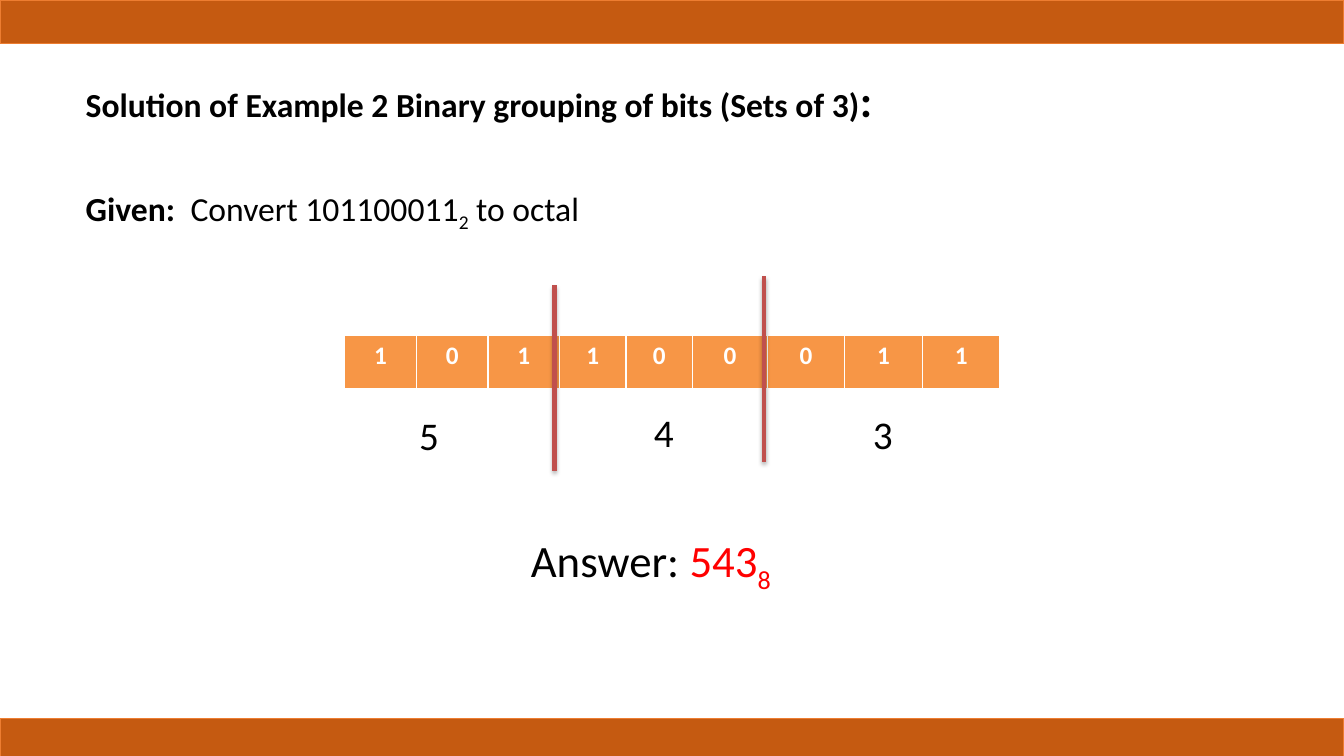
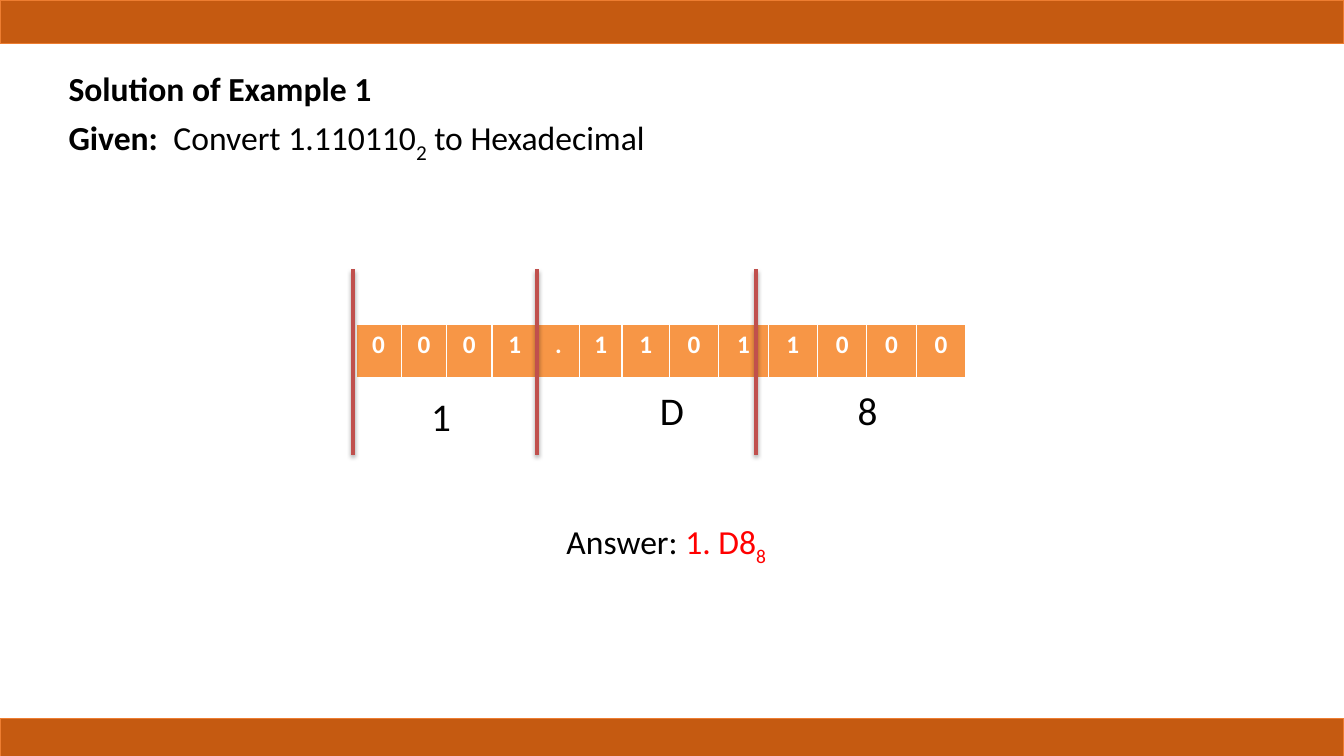
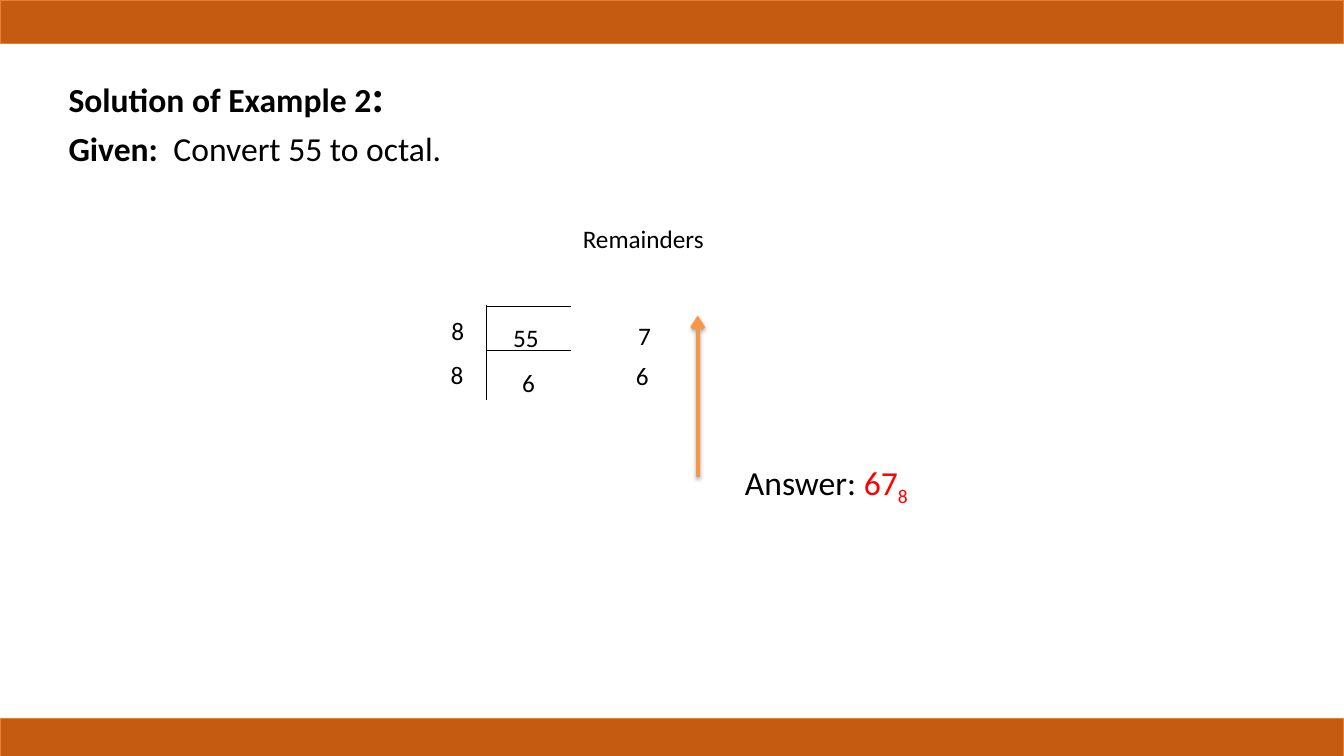
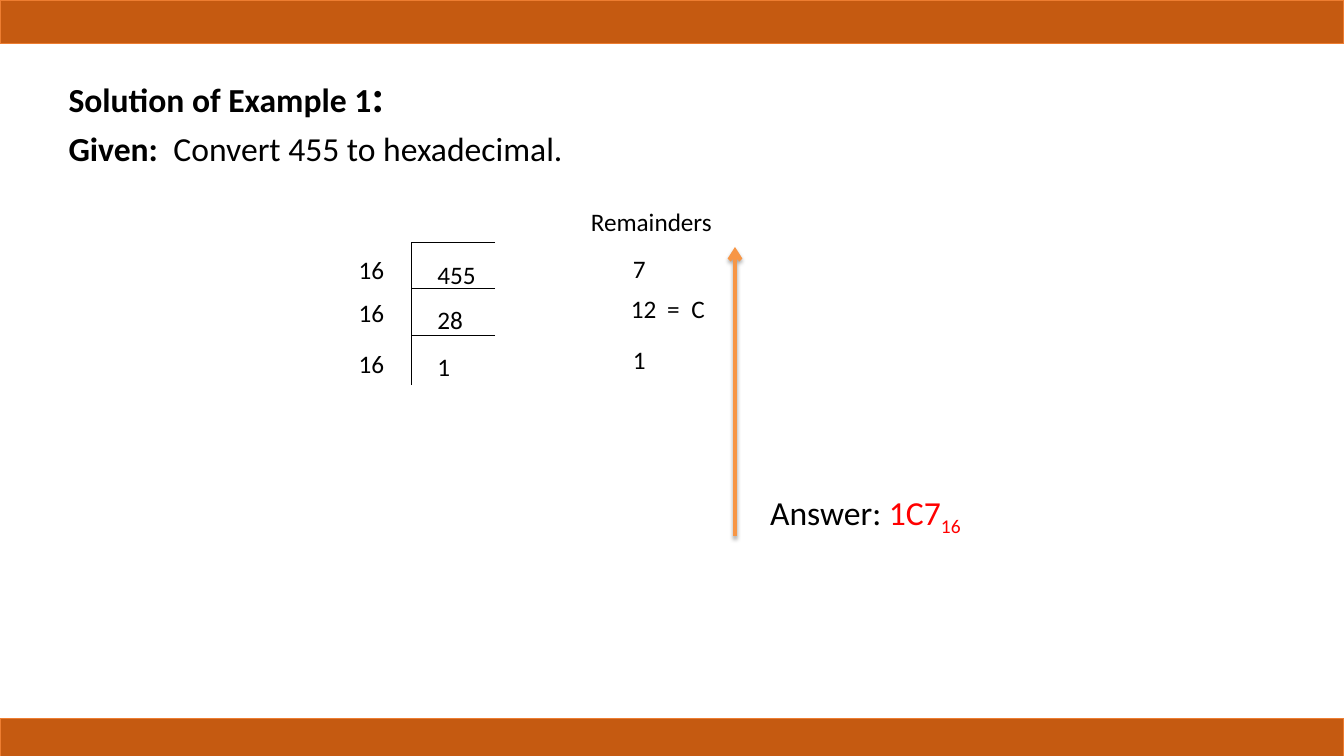
from lxml.etree import SubElement
from pptx import Presentation
from pptx.dml.color import RGBColor
from pptx.enum.shapes import MSO_CONNECTOR, MSO_SHAPE
from pptx.enum.text import MSO_ANCHOR, MSO_AUTO_SIZE, PP_ALIGN
from pptx.oxml.ns import qn
from pptx.util import Inches, Pt

FONT = "Calibri"
BLACK = RGBColor(0, 0, 0)
WHITE = RGBColor(255, 255, 255)
RED = RGBColor(255, 0, 0)
BAND = RGBColor(0xC5, 0x5A, 0x11)
BAND_EDGE = RGBColor(0xED, 0x7D, 0x31)
ORANGE = RGBColor(0xF7, 0x96, 0x46)
DIVIDER = RGBColor(0xC0, 0x50, 0x4D)


class Deck:
    """Holds the shared style and the slide being built."""

    def __init__(self):
        self.prs = Presentation()
        self.prs.slide_width = Inches(13.33)
        self.prs.slide_height = Inches(7.5)

    def slide(self, title, given, colon=True, box=(0.58, 0.62, 7.67, 0.98), gap=4.8):
        self.s = self.prs.slides.add_slide(self.prs.slide_layouts[5])
        for y in (0, 7.13):
            sp = self.s.shapes.add_shape(MSO_SHAPE.RECTANGLE, 0, Inches(y), Inches(13.33), Inches(0.43))
            sp.shadow.inherit = False
            sp.fill.solid()
            sp.fill.fore_color.rgb = BAND
            sp.line.color.rgb = BAND_EDGE
            sp.line.width = Pt(1)
        sp = self.s.shapes.title
        sp.left, sp.top, sp.width, sp.height = [Inches(v) for v in box]
        tf = sp.text_frame
        tf.auto_size = MSO_AUTO_SIZE.NONE
        tf.vertical_anchor = MSO_ANCHOR.TOP
        p = tf.paragraphs[0]
        p.alignment = PP_ALIGN.LEFT
        self.run(p, title, 24, bold=True)
        if colon:
            self.run(p, ":", 32, bold=True)
        p = tf.add_paragraph()
        self.tabs(p, [1.04])
        p.alignment = PP_ALIGN.LEFT
        p.space_before = Pt(gap)
        self.run(p, "Given:\t", 24, bold=True)
        for text, size, sub in given:
            self.run(p, text, size, sub=sub)

    def run(self, p, text, size, color=BLACK, bold=False, sub=False):
        r = p.add_run()
        r.text = text
        r.font.name = FONT
        r.font.size = Pt(size)
        r.font.bold = bold
        r.font.color.rgb = color
        if sub:
            r.font._element.set("baseline", "-25000")

    def tabs(self, p, stops):
        tab_list = SubElement(p._p.get_or_add_pPr(), qn("a:tabLst"))
        for stop in stops:
            SubElement(tab_list, qn("a:tab"), pos=str(Inches(stop)), algn="l")

    def box(self, x, y, w, h, align=PP_ALIGN.LEFT):
        tf = self.s.shapes.add_textbox(Inches(x), Inches(y), Inches(w), Inches(h)).text_frame
        tf.word_wrap = True
        p = tf.paragraphs[0]
        p.alignment = align
        return p

    def label(self, text, x, y, w=0.3, stops=()):
        p = self.box(x, y, w, 0.4)
        if stops:
            self.tabs(p, stops)
        self.run(p, text, 18)

    def heading(self, text, x, y):
        self.run(self.box(x, y, 1.92, 0.4, PP_ALIGN.CENTER), text, 18)

    def digit(self, text, x, y):
        self.run(self.box(x, y, 0.67, 0.57, PP_ALIGN.CENTER), text, 28)

    def answer(self, value, base, x, y, w, h=0.5, size=24, align=PP_ALIGN.LEFT):
        p = self.box(x, y, w, h, align)
        self.run(p, "Answer: ", size)
        self.run(p, value, size, RED)
        self.run(p, base, size, RED, sub=True)

    def line(self, x1, y1, x2, y2, color=BLACK, width=0.75, shadow=False, arrow=False):
        c = self.s.shapes.add_connector(
            MSO_CONNECTOR.STRAIGHT, Inches(x1), Inches(y1), Inches(x2), Inches(y2))
        c.line.color.rgb = color
        c.line.width = Pt(width)
        if arrow:
            SubElement(c.line._get_or_add_ln(), qn("a:tailEnd"), type="arrow")
        effects = SubElement(c._element.spPr, qn("a:effectLst"))
        if shadow:
            outer = SubElement(effects, qn("a:outerShdw"), blurRad=str(Pt(3.1)),
                               dist=str(Pt(1.8)), dir="5400000", rotWithShape="0")
            black = SubElement(outer, qn("a:srgbClr"), val=str(BLACK))
            SubElement(black, qn("a:alpha"), val="35000")

    def divider(self, x, y):
        self.line(x, y, x, y + 1.84, DIVIDER, 3, shadow=True)

    def up_arrow(self, x, bottom, top):
        self.line(x, bottom, x, top, ORANGE, 3, shadow=True, arrow=True)

    def bits(self, values, widths, x, y):
        table = self.s.shapes.add_table(
            1, len(values), Inches(x), Inches(y), Inches(sum(widths)), Inches(0.53)).table
        for i, (value, width) in enumerate(zip(values, widths)):
            table.columns[i].width = Inches(width)
            cell = table.cell(0, i)
            if value == " ":
                cell.fill.background()
                continue
            cell.fill.solid()
            cell.fill.fore_color.rgb = ORANGE
            p = cell.text_frame.paragraphs[0]
            p.alignment = PP_ALIGN.CENTER
            self.run(p, value, 18, WHITE, bold=True)

    def ladder(self, x, tops):
        for y in tops:
            self.line(x, y + 0.49, x, y - 0.01)
            self.line(x + 0.83, y, x, y)


def main():
    d = Deck()

    d.slide("Solution of Example 2 Binary grouping of bits (Sets of 3)",
            [("Convert 101100011", 24, False), ("2", 24, True), (" to octal", 24, False)],
            box=(0.75, 0.67, 8.08, 1.12), gap=44)
    d.bits("101100011", [0.71] * 3 + [0.66] * 2 + [0.74] + [0.77] * 3, 3.42, 3.33)
    for x, y in ((7.58, 2.74), (5.5, 2.83)):
        d.divider(x, y)
    for text, x, y in (("5", 3.92, 4.03), ("4", 6.25, 4), ("3", 8.42, 4.02)):
        d.digit(text, x, y)
    d.answer("543", "8", 4.08, 5.24, 4.75, 0.64, 32, PP_ALIGN.CENTER)

    d.slide("Solution of Example 1",
            [("Convert 1.110110", 24, False), ("2", 26, True), (" to Hexadecimal", 24, False)],
            colon=False)
    d.bits(" 0001.11011000", [0.45] * 5 + [0.42] * 2 + [0.47] + [0.49] * 6, 3.08, 3.22)
    for x in (3.5, 5.33, 7.5):
        d.divider(x, 2.67)
    for text, x, y in (("1", 4.04, 3.84), ("D", 6.33, 3.78), ("8", 8.27, 3.78)):
        d.digit(text, x, y)
    d.answer("1. D8", "8", 5.52, 5.12, 2.75)

    d.slide("Solution of Example 2", [("Convert 55 to octal.", 24, False)])
    d.ladder(4.83, (3.04, 3.48))
    for text, x, y in (("55", 4.99, 3.15), ("6", 5.08, 3.59)):
        d.label(text, x, y, 0.6)
    for text, x, y in (("8", 4.38, 3.08), ("8", 4.37, 3.52), ("7", 6.23, 3.13), ("6", 6.21, 3.53)):
        d.label(text, x, y)
    d.heading("Remainders", 5.42, 2.17)
    d.up_arrow(6.92, 4.73, 3.13)
    d.answer("67", "8", 7.29, 4.53, 3.17)

    d.slide("Solution of Example 1", [("Convert 455 to hexadecimal.", 24, False)])
    tops = (2.41, 2.86, 3.33)
    d.ladder(4.08, tops)
    for text, y in zip(("455", "28", "1"), tops):
        d.label(text, 4.24, y + 0.11, 0.6)
    for y in (2.47, 2.9, 3.41):
        d.label("16", 3.46, y, 0.47)
    for text, y in (("7", 2.46), ("1", 3.37)):
        d.label(text, 6.18, y)
    d.label("12\t=\tC", 6.16, 2.86, 1, stops=(0.36, 0.6))
    d.heading("Remainders", 5.5, 2)
    d.up_arrow(7.29, 5.32, 2.45)
    d.answer("1C7", "16", 7.54, 4.83, 3.17)

    d.prs.save("out.pptx")


if __name__ == "__main__":
    main()
